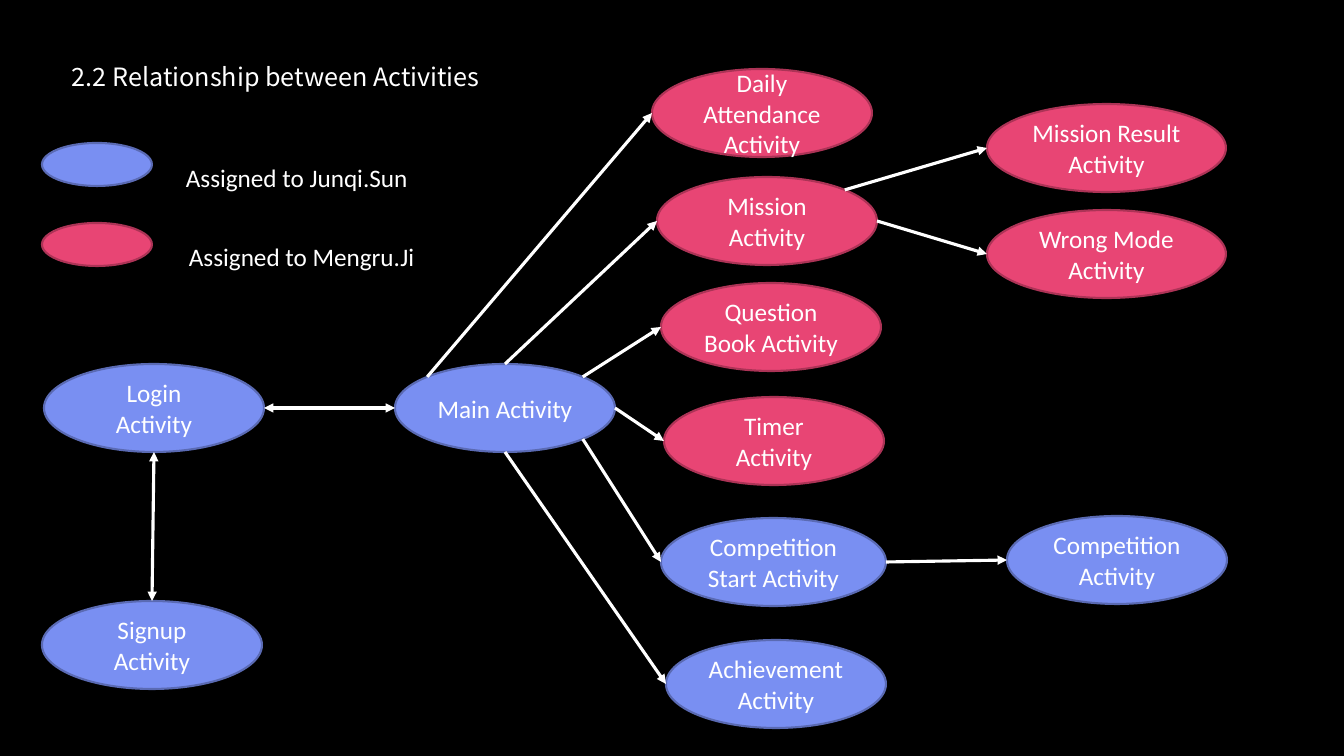
import math

import lxml.etree
import pptx
import pptx.dml.color
import pptx.enum.shapes
import pptx.enum.text
import pptx.oxml.ns
import pptx.util

EMU_PER_PX = 914400 / 100.8
SLIDE_SIZE = (1344, 756)
BLACK, WHITE = "000000", "FFFFFF"
BLUE = ("798FF2", "5A6AB3")  # fill, outline
PINK = ("E84574", "AC3356")
BODY_FONT, TITLE_FONT = "Calibri", "Noto Sans CJK SC"

TITLE = ("2.2 Relationship between Activities", 62, 51, 523, 50)
LEGEND = [  # swatch colours, swatch top, label, label left, top, width, height
    (BLUE, 143, ("Assigned to Junqi.Sun", 176, 157, 279, 40)),
    (PINK, 223, ("Assigned to Mengru.Ji", 179, 236, 257, 40)),
]
SWATCH_LEFT, SWATCH_WIDTH, SWATCH_HEIGHT = 42, 110, 43

ACTIVITY_HEIGHT = 88
ACTIVITIES = {  # label: left, top, width, colours
    "Login Activity": (44, 364, 220, BLUE),
    "Signup Activity": (42, 601, 220, BLUE),
    "Main Activity": (395, 364, 220, BLUE),
    "Daily Attendance Activity": (652, 69, 220, PINK),
    "Mission Activity": (657, 177, 220, PINK),
    "Question Book Activity": (661, 283, 220, PINK),
    "Timer Activity": (664, 397, 220, PINK),
    "Competition Start Activity": (661, 518, 225, BLUE),
    "Achievement Activity": (666, 640, 220, BLUE),
    "Mission Result Activity": (987, 104, 239, PINK),
    "Wrong Mode Activity": (987, 210, 239, PINK),
    "Competition Activity": (1007, 516, 220, BLUE),
}

# Angles on an ellipse, clockwise from its right end
RIGHT, LOWER_RIGHT, BOTTOM, LEFT, UPPER_LEFT, TOP, UPPER_RIGHT = 0, 45, 90, 180, 225, 270, 315
LINKS = [  # source, angle, target, angle, both ways
    ("Login Activity", BOTTOM, "Signup Activity", TOP, True),
    ("Login Activity", RIGHT, "Main Activity", LEFT, True),
    ("Main Activity", UPPER_LEFT, "Daily Attendance Activity", LEFT, False),
    ("Main Activity", TOP, "Mission Activity", LEFT, False),
    ("Main Activity", UPPER_RIGHT, "Question Book Activity", LEFT, False),
    ("Main Activity", RIGHT, "Timer Activity", LEFT, False),
    ("Main Activity", LOWER_RIGHT, "Competition Start Activity", LEFT, False),
    ("Main Activity", BOTTOM, "Achievement Activity", LEFT, False),
    ("Mission Activity", UPPER_RIGHT, "Mission Result Activity", LEFT, False),
    ("Mission Activity", RIGHT, "Wrong Mode Activity", LEFT, False),
    ("Competition Start Activity", RIGHT, "Competition Activity", LEFT, False),
]


def px(length):
    return pptx.util.Emu(round(length * EMU_PER_PX))


def color(hex_string):
    return pptx.dml.color.RGBColor.from_string(hex_string)


def write(shape, text, font_name):
    shape.text_frame.word_wrap = True
    shape.text_frame.vertical_anchor = pptx.enum.text.MSO_ANCHOR.MIDDLE
    paragraph = shape.text_frame.paragraphs[0]
    paragraph.text = text
    paragraph.font.name = font_name
    paragraph.font.size = pptx.util.Pt(18)
    paragraph.font.color.rgb = color(WHITE)
    return paragraph


def add_label(slide, text, left, top, width, height, font_name=BODY_FONT):
    box = slide.shapes.add_textbox(px(left), px(top), px(width), px(height))
    write(box, text, font_name)


def add_ellipse(slide, left, top, width, height, colours):
    fill, outline = colours
    ellipse = slide.shapes.add_shape(
        pptx.enum.shapes.MSO_SHAPE.OVAL, px(left), px(top), px(width), px(height))
    ellipse.shadow.inherit = False
    ellipse.fill.solid()
    ellipse.fill.fore_color.rgb = color(fill)
    ellipse.line.color.rgb = color(outline)
    ellipse.line.width = pptx.util.Pt(1.5)
    return ellipse


def rim_point(activity, angle):
    """Point on the activity's ellipse at an angle in degrees."""
    left, top, width, _ = ACTIVITIES[activity]
    turn = math.radians(angle)
    return (px(left + width / 2 * (1 + math.cos(turn))),
            px(top + ACTIVITY_HEIGHT / 2 * (1 + math.sin(turn))))


def add_arrow(slide, start, end, both_ways):
    arrow = slide.shapes.add_connector(
        pptx.enum.shapes.MSO_CONNECTOR.STRAIGHT, *start, *end)
    arrow.line.color.rgb = color(WHITE)
    arrow.line.width = pptx.util.Pt(2.25)
    line = arrow.line._get_or_add_ln()
    for end_tag in ("a:headEnd", "a:tailEnd") if both_ways else ("a:tailEnd",):
        lxml.etree.SubElement(line, pptx.oxml.ns.qn(end_tag), type="triangle")
    lxml.etree.SubElement(arrow._element.spPr, pptx.oxml.ns.qn("a:effectLst"))


def main():
    presentation = pptx.Presentation()
    presentation.slide_width, presentation.slide_height = map(px, SLIDE_SIZE)
    slide = presentation.slides.add_slide(presentation.slide_layouts[6])
    slide.background.fill.solid()
    slide.background.fill.fore_color.rgb = color(BLACK)

    add_label(slide, *TITLE, font_name=TITLE_FONT)
    for colours, top, label in LEGEND:
        add_ellipse(slide, SWATCH_LEFT, top, SWATCH_WIDTH, SWATCH_HEIGHT, colours)
        add_label(slide, *label)
    for name, (left, top, width, colours) in ACTIVITIES.items():
        ellipse = add_ellipse(slide, left, top, width, ACTIVITY_HEIGHT, colours)
        paragraph = write(ellipse, name, BODY_FONT)
        paragraph.alignment = pptx.enum.text.PP_ALIGN.CENTER
    for source, source_angle, target, target_angle, both_ways in LINKS:
        add_arrow(slide, rim_point(source, source_angle),
                  rim_point(target, target_angle), both_ways)

    presentation.save("out.pptx")


if __name__ == "__main__":
    main()
